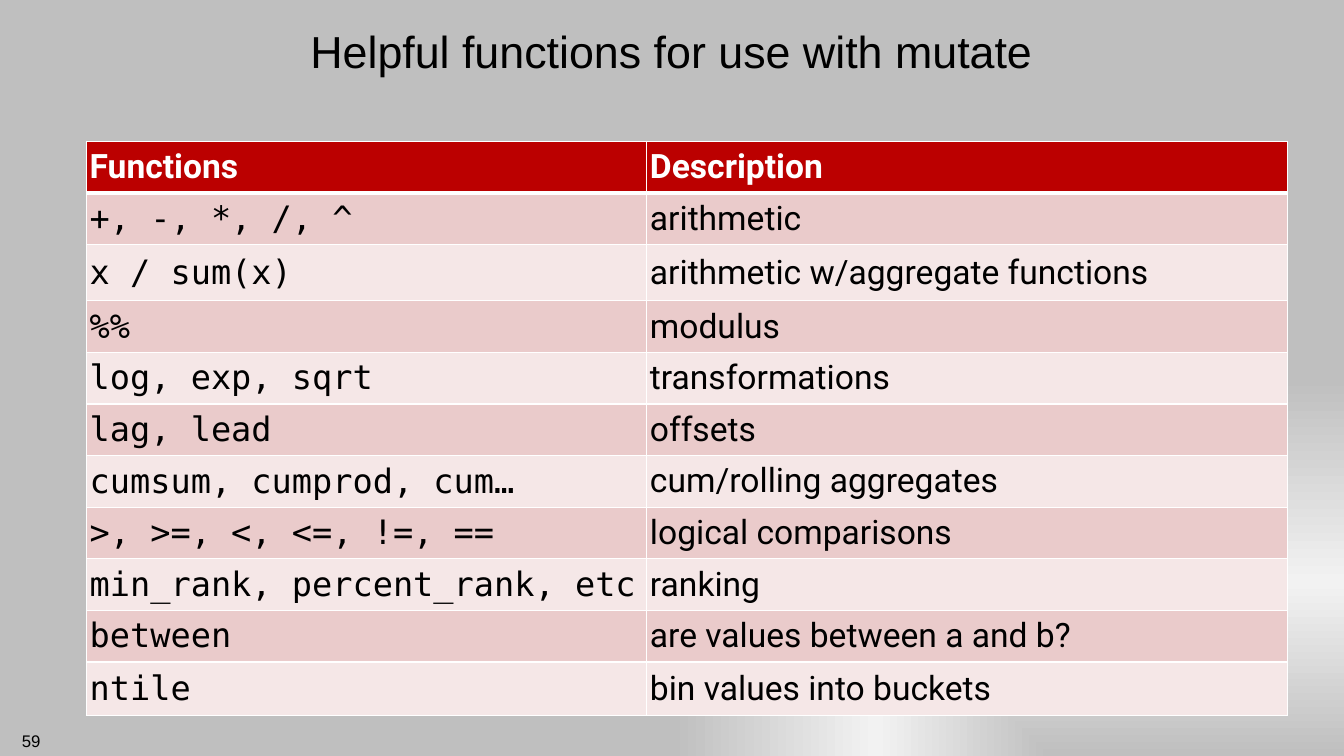
from lxml import etree
from pptx import Presentation
from pptx.dml.color import RGBColor
from pptx.enum.text import MSO_ANCHOR, PP_ALIGN
from pptx.oxml import parse_xml
from pptx.oxml.ns import nsdecls, qn
from pptx.util import Cm, Pt

MIDDLE = MSO_ANCHOR.MIDDLE
LEFT, CENTER, RIGHT = PP_ALIGN.LEFT, PP_ALIGN.CENTER, PP_ALIGN.RIGHT

BLACK = RGBColor(0x00, 0x00, 0x00)
WHITE = RGBColor(0xFF, 0xFF, 0xFF)
HEADER_RED = RGBColor(0xBB, 0x00, 0x00)
BAND_DARK = RGBColor(0xEA, 0xCB, 0xCB)
BAND_LIGHT = RGBColor(0xF5, 0xE7, 0xE7)
EDGE_GREY = RGBColor(0xBF, 0xBF, 0xBF)
GLOW_GREY = RGBColor(0xF2, 0xF2, 0xF2)

SANS, BODY, MONO = "Arial", "Roboto", "DejaVu Sans Mono"

HEADINGS = ("Functions", "Description")
FUNCTIONS = [
    ("+, -, *, /, ^", "arithmetic"),
    ("x / sum(x)", "arithmetic w/aggregate functions"),
    ("%%", "modulus"),
    ("log, exp, sqrt", "transformations"),
    ("lag, lead", "offsets"),
    ("cumsum, cumprod, cum…", "cum/rolling aggregates"),
    (">, >=, <, <=, !=, ==", "logical comparisons"),
    ("min_rank, percent_rank, etc", "ranking"),
    ("between", "are values between a and b?"),
    ("ntile", "bin values into buckets"),
]
COLUMN_WIDTHS = (14.12, 16.15)
ROW_HEIGHT = 1.3
TALL_ROWS = {2: 1.42, 10: 1.35}


class SlideBuilder:
    def __init__(self, presentation):
        self.slide = presentation.slides.add_slide(presentation.slide_layouts[5])

    def set_text(self, text_frame, text, font_name, size, color=BLACK, bold=False, alignment=LEFT):
        text_frame.text = text
        paragraph = text_frame.paragraphs[0]
        paragraph.alignment = alignment
        font = paragraph.runs[0].font
        font.name, font.size, font.bold = font_name, Pt(size), bold
        font.color.rgb = color

    def background(self, stops):
        stop_xml = "".join(
            f'<a:gs pos="{position * 1000}"><a:srgbClr val="{color}"/></a:gs>'
            for position, color in stops
        )
        background = parse_xml(
            f'<p:bg {nsdecls("p", "a")}><p:bgPr><a:gradFill rotWithShape="1">'
            f'<a:gsLst>{stop_xml}</a:gsLst><a:path path="rect">'
            '<a:fillToRect l="100000" t="100000"/></a:path></a:gradFill>'
            '<a:effectLst/></p:bgPr></p:bg>'
        )
        self.slide.element.find(qn("p:cSld")).insert(0, background)

    def title(self, text, left, top, width, height):
        title = self.slide.shapes.title
        title.left, title.top = Cm(left), Cm(top)
        title.width, title.height = Cm(width), Cm(height)
        frame = title.text_frame
        frame.margin_left = frame.margin_right = Cm(0.25)
        frame.margin_top = frame.margin_bottom = Cm(0.25)
        frame.vertical_anchor = MIDDLE
        self.set_text(frame, text, SANS, 32, alignment=CENTER)

    def page_number(self, text, left, top, width, height):
        box = self.slide.shapes.add_textbox(Cm(left), Cm(top), Cm(width), Cm(height))
        box.text_frame.word_wrap = True
        self.set_text(box.text_frame, text, SANS, 12, alignment=RIGHT)

    def borders(self, cell, top, bottom):
        properties = cell._tc.get_or_add_tcPr()
        edges = {"lnL": 1, "lnR": 1, "lnT": top, "lnB": bottom}
        for index, (edge, width) in enumerate(edges.items()):
            line = etree.Element(qn(f"a:{edge}"), w=str(Pt(width)))
            fill = etree.SubElement(line, qn("a:solidFill"))
            etree.SubElement(fill, qn("a:srgbClr"), val=str(WHITE))
            properties.insert(index, line)

    def cell(self, cell, text, font_name, color, bold, fill):
        cell.margin_left = cell.margin_right = Cm(0.08)
        cell.margin_top = cell.margin_bottom = Cm(0.08)
        cell.vertical_anchor = MIDDLE
        cell.fill.solid()
        cell.fill.fore_color.rgb = fill
        self.set_text(cell.text_frame, text, font_name, 24, color, bold)

    def table(self, rows, left, top):
        heights = [TALL_ROWS.get(index, ROW_HEIGHT) for index in range(len(rows))]
        table = self.slide.shapes.add_table(
            len(rows), len(COLUMN_WIDTHS), Cm(left), Cm(top),
            Cm(sum(COLUMN_WIDTHS)), Cm(sum(heights)),
        ).table
        for column, width in zip(table.columns, COLUMN_WIDTHS):
            column.width = Cm(width)
        for row_index, texts in enumerate(rows):
            table.rows[row_index].height = Cm(heights[row_index])
            header = row_index == 0
            band = BAND_DARK if row_index % 2 else BAND_LIGHT
            for column_index, text in enumerate(texts):
                cell = table.cell(row_index, column_index)
                font_name = MONO if column_index == 0 and not header else BODY
                self.cell(cell, text, font_name, WHITE if header else BLACK,
                          header, HEADER_RED if header else band)
                self.borders(cell, top=3 if row_index == 1 else 1, bottom=3 if header else 1)


def main():
    presentation = Presentation()
    presentation.slide_width, presentation.slide_height = Cm(33.87), Cm(19.05)
    builder = SlideBuilder(presentation)
    builder.background([(0, EDGE_GREY), (46, GLOW_GREY), (100, EDGE_GREY)])
    builder.page_number("59", 0, 18.29, 1.27, 0.76)
    builder.title("Helpful functions for use with mutate", 2.54, 0, 28.78, 2.54)
    builder.table([HEADINGS, *FUNCTIONS], 2.18, 3.56)
    presentation.save("out.pptx")


if __name__ == "__main__":
    main()
